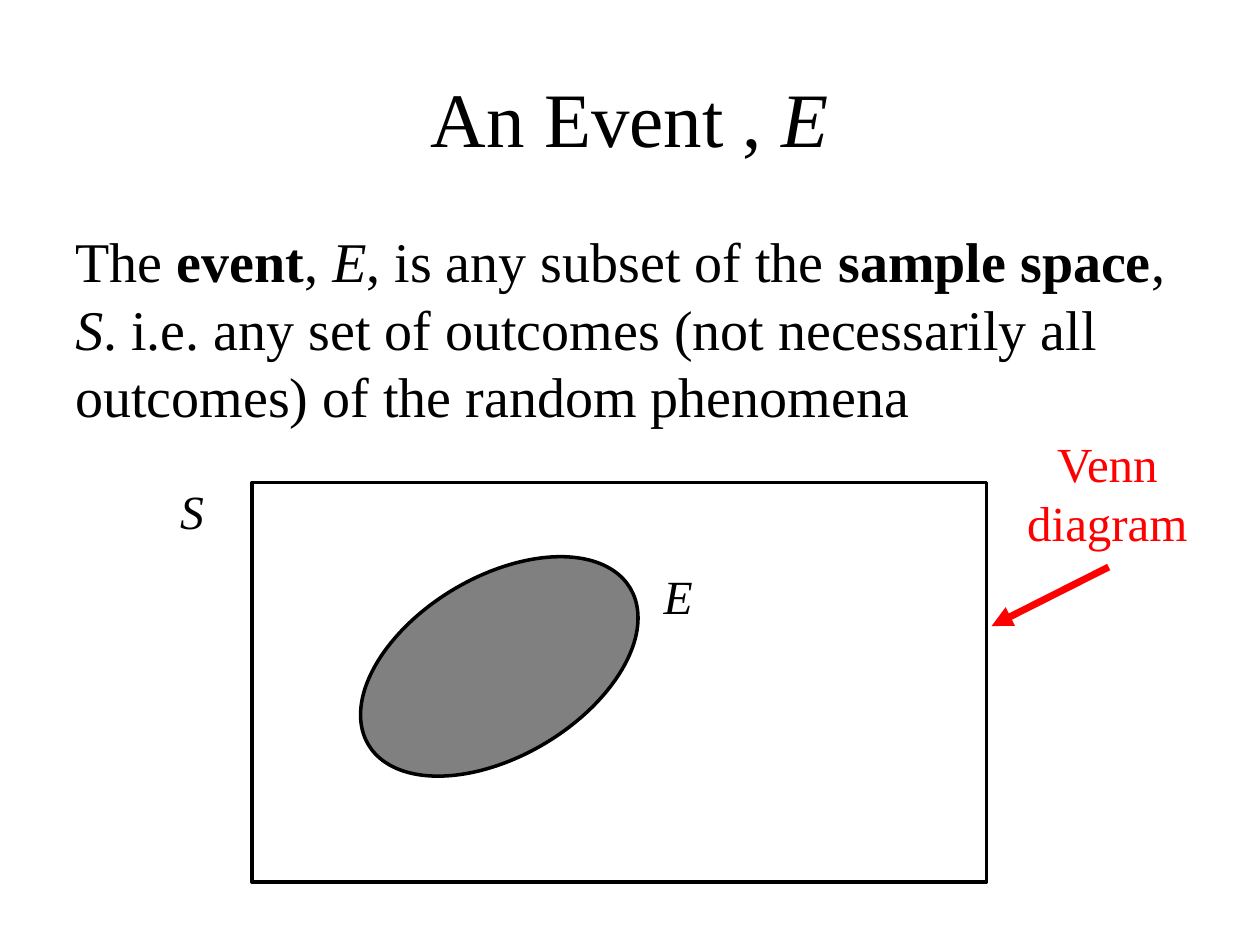
from dataclasses import dataclass

from lxml import etree
from pptx import Presentation
from pptx import util as u
from pptx.dml.color import RGBColor
from pptx.enum import shapes, text
from pptx.oxml import ns


@dataclass(frozen=True)
class Theme:
    font: str = "Times New Roman"
    ink: RGBColor = RGBColor(0x00, 0x00, 0x00)
    accent: RGBColor = RGBColor(0xFF, 0x00, 0x00)
    event_fill: RGBColor = RGBColor(0x80, 0x80, 0x80)
    title_size: float = 44
    body_size: float = 32
    label_size: float = 27.2
    note_size: float = 28
    outline: float = 2
    arrow: float = 4


THEME = Theme()
BOLD = {"bold": True}
ITALIC = {"italic": True}


def set_all(target, values):
    for name, value in values.items():
        setattr(target, name, value)


def add_text(slide, box, runs, size, color=THEME.ink, frame_format=None, paragraph_format=None):
    """Add one paragraph made of (wording, font format) runs."""
    shape = slide.shapes.add_textbox(*map(u.Cm, box))
    frame = shape.text_frame
    set_all(frame, {"word_wrap": True, **(frame_format or {})})
    paragraph = frame.paragraphs[0]
    set_all(paragraph, paragraph_format or {})
    for wording, font_format in runs:
        run = paragraph.add_run()
        run.text = wording
        set_all(run.font, {"name": THEME.font, "size": u.Pt(size), **font_format})
        run.font.color.rgb = color


def add_region(slide, kind, box, fill=None, rotation=0):
    """Add an outlined set of the Venn diagram."""
    shape = slide.shapes.add_shape(kind, *map(u.Cm, box))
    shape.shadow.inherit = False
    shape.rotation = rotation
    if fill is None:
        shape.fill.background()
    else:
        shape.fill.solid()
        shape.fill.fore_color.rgb = fill
    shape.line.color.rgb = THEME.ink
    shape.line.width = u.Pt(THEME.outline)


def add_arrow(slide, start, end):
    connector = slide.shapes.add_connector(
        shapes.MSO_CONNECTOR.STRAIGHT, *map(u.Cm, (*start, *end)))
    connector.line.color.rgb = THEME.accent
    connector.line.width = u.Pt(THEME.arrow)
    line = connector.line._get_or_add_ln()
    etree.SubElement(line, ns.qn("a:tailEnd"), type="triangle")
    etree.SubElement(connector._element.spPr, ns.qn("a:effectLst"))


def main():
    presentation = Presentation()
    presentation.slide_width, presentation.slide_height = u.Cm(25.4), u.Cm(19.05)
    slide = presentation.slides.add_slide(presentation.slide_layouts[6])
    centered = {"alignment": text.PP_ALIGN.CENTER}

    # Title and definition
    add_text(slide, (1.27, 0.76, 22.86, 3.18), [("An Event , ", {}), ("E", ITALIC)],
             THEME.title_size, frame_format={"vertical_anchor": text.MSO_ANCHOR.MIDDLE},
             paragraph_format=centered)
    definition = [
        ("The ", {}), ("event", BOLD), (", ", {}), ("E", ITALIC),
        (", is any subset of the ", {}), ("sample space", BOLD), (", ", {}), ("S", ITALIC),
        (". i.e. any set of outcomes (not necessarily all outcomes) of the random phenomena", {}),
    ]
    add_text(slide, (1.27, 4.45, 22.86, 4.45), definition, THEME.body_size)

    # Sample space and event
    add_region(slide, shapes.MSO_SHAPE.RECTANGLE, (5.08, 9.73, 14.81, 8.05))
    add_region(slide, shapes.MSO_SHAPE.OVAL, (6.99, 11.63, 6.15, 3.61),
               THEME.event_fill, rotation=329.1)
    for name, left, top in (("S", 3.38, 9.73), ("E", 13.13, 11.43)):
        add_text(slide, (left, top, 2.34, 1.47), [(name, ITALIC)], THEME.label_size,
                 paragraph_format={"line_spacing": 0.9})

    # Note pointing at the diagram
    add_text(slide, (20.24, 8.61, 4.17, 2.64), [("Venn diagram", {})], THEME.note_size,
             THEME.accent, {"auto_size": text.MSO_AUTO_SIZE.SHAPE_TO_FIT_TEXT}, centered)
    add_arrow(slide, (22.35, 11.43), (19.99, 12.62))

    presentation.save("out.pptx")


if __name__ == "__main__":
    main()
